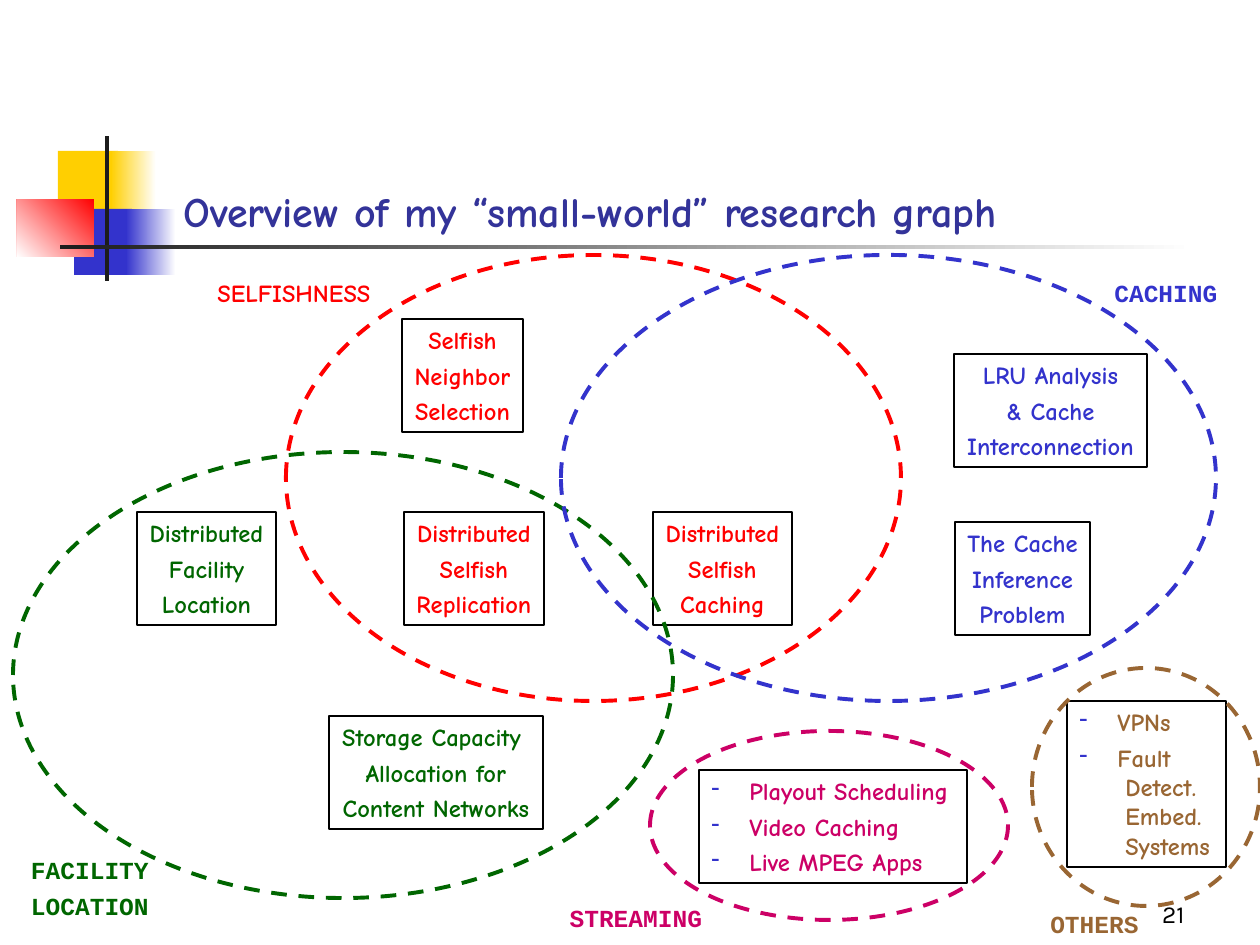
import dataclasses
import pptx
import pptx.dml.color
import pptx.enum.dml
import pptx.enum.shapes
import pptx.enum.text
import pptx.oxml
import pptx.oxml.ns
import pptx.util

PX = 914400 / 126
KIND = pptx.enum.shapes.MSO_SHAPE
SIDE = pptx.enum.text.PP_ALIGN
EDGE = pptx.enum.text.MSO_ANCHOR


@dataclasses.dataclass(frozen=True)
class Theme:
    """Colours, fonts and type sizes of the slide."""
    red: str = "FF0000"
    green: str = "006600"
    blue: str = "3333CC"
    pink: str = "CC0066"
    brown: str = "996633"
    navy: str = "333399"
    gold: str = "FFCF01"
    ink: str = "1C1C1C"
    black: str = "000000"
    white: str = "FFFFFF"
    hand: str = "Comic Neue"
    mono: str = "Courier New"
    plain: str = "Karla"
    head: int = 24
    body: int = 14
    gap: float = 3.5


LOOK = Theme()


def emu(px):
    """Turn pixels into EMU."""
    return pptx.util.Emu(round(px * PX))


def rgb(code):
    """Turn a hex code into a colour."""
    return pptx.dml.color.RGBColor.from_string(code)


def shape(page, kind, box):
    """Add a preset shape with no fill, line or shadow."""
    item = page.shapes.add_shape(kind, *map(emu, box))
    item.shadow.inherit = False
    item.fill.background()
    item.line.fill.background()
    return item


def edge(item, color, width):
    """Outline a shape."""
    item.line.color.rgb = rgb(color)
    item.line.width = pptx.util.Pt(width)


def frame(item, anchor=EDGE.TOP, wrap=False):
    """Set up the text frame of a shape."""
    text = item.text_frame
    text.word_wrap = wrap
    text.vertical_anchor = anchor
    return text


def write(text, lines, color, font=LOOK.hand, size=LOOK.body,
          align=SIDE.CENTER, bold=True):
    """Write one paragraph per line and return the paragraphs."""
    paras = []
    for rank, line in enumerate(lines):
        para = text.add_paragraph() if rank else text.paragraphs[0]
        para.alignment = align
        if rank:
            para.space_before = pptx.util.Pt(LOOK.gap)
        run = para.add_run()
        run.text = line
        run.font.name = font
        run.font.size = pptx.util.Pt(size)
        run.font.bold = bold
        run.font.color.rgb = rgb(color)
        paras.append(para)
    return paras


def label(page, box, lines, color, anchor=EDGE.TOP, wrap=False, **style):
    """Add a plain text box."""
    item = page.shapes.add_textbox(*map(emu, box))
    write(frame(item, anchor, wrap), lines, color, **style)


def banner(page, box):
    """Draw the coloured blocks and the fading rule."""
    left, top, width, height = box
    blocks = [
        ((41, 15, 60, 66), LOOK.gold, None, 0),
        ((94, 15, 45, 66), LOOK.white, LOOK.gold, 180),
        ((57, 73, 58, 66), LOOK.blue, None, 0),
        ((109, 73, 50, 66), LOOK.white, LOOK.blue, 180),
        ((0, 63, 77, 58), LOOK.red, LOOK.white, 225),
        ((88, 0, 4, height), LOOK.ink, None, 0),
        ((43, 109, width - 43, 4), LOOK.white, LOOK.ink, 180),
    ]
    for (x, y, wide, high), start, end, angle in blocks:
        item = shape(page, KIND.RECTANGLE, (left + x, top + y, wide, high))
        if end is None:
            item.fill.solid()
            item.fill.fore_color.rgb = rgb(start)
            continue
        item.fill.gradient()
        item.fill.gradient_angle = angle
        for stop, color in zip(item.fill.gradient_stops, (start, end)):
            stop.color.rgb = rgb(color)


def paper(page, box, lines, color):
    """Draw a framed box of centred lines."""
    item = shape(page, KIND.RECTANGLE, box)
    edge(item, LOOK.black, 0.75)
    write(frame(item), lines, color)


def dashes(page, box, lines, color, tails=()):
    """Draw a framed dash list whose last entry runs on in the tail lines."""
    item = shape(page, KIND.RECTANGLE, box)
    edge(item, LOOK.black, 0.75)
    text = frame(item, wrap=True)
    paras = write(text, [*lines, *tails], color, align=SIDE.LEFT)
    for rank, para in enumerate(paras):
        props = para._p.get_or_add_pPr()
        if rank >= len(lines):
            props.set("marL", str(emu(46)))
            para.space_before = pptx.util.Pt(0)
            continue
        props.set("marL", str(emu(38)))
        props.set("indent", str(emu(-38)))
        space = pptx.oxml.ns.nsdecls("a")
        for part in (f'<a:buClr {space}><a:srgbClr val="{LOOK.blue}"/></a:buClr>',
                     f'<a:buChar {space} char="-"/>'):
            props.append(pptx.oxml.parse_xml(part))


def topic(page, box, tag, lines, color, font=LOOK.mono):
    """Group a dashed ellipse with its label, placed from the ellipse corner."""
    group = page.shapes.add_group_shape()
    item = shape(group, KIND.OVAL, box)
    edge(item, color, 2.25)
    item.line.dash_style = pptx.enum.dml.MSO_LINE.DASH
    x, y, wide, high = tag
    label(group, (box[0] + x, box[1] + y, wide, high), lines, color, font=font)


def graph(page, box):
    """Place the papers and topics of the research graph."""
    left, top, width, height = box

    def at(x, y, wide, high=113):
        """Shift a box into the graph."""
        return left + x, top + y, wide, high

    row = 257
    for spot, lines, color in [
        (at(329, 461, 214), ["Storage Capacity ", "Allocation for", "Content Networks"], LOOK.green),
        (at(404, row, 140), ["Distributed", "Selfish", "Replication"], LOOK.red),
        (at(653, row, 139), ["Distributed", "Selfish", "Caching"], LOOK.red),
        (at(137, row, 139), ["Distributed", "Facility", "Location"], LOOK.green),
        (at(402, 64, 121), ["Selfish", "Neighbor", "Selection"], LOOK.red),
        (at(954, 99, 193), ["LRU Analysis", "& Cache", "Interconnection"], LOOK.blue),
        (at(955, 267, 135), ["The Cache", "Inference", "Problem"], LOOK.blue),
    ]:
        paper(page, spot, lines, color)

    dashes(page, at(699, 515, 268), ["Playout Scheduling", "Video Caching", "Live MPEG Apps"], LOOK.pink)
    dashes(page, at(1067, 446, 159, 166), ["VPNs", "Fault"], LOOK.brown,
           ["Detect.", "Embed.", "Systems"])

    topic(page, at(286, 0, 615, 446), (-81, 17, 178, 43), ["SELFISHNESS"], LOOK.red, LOOK.hand)
    topic(page, at(13, 197, 660, 446), (0, 397, 154, 78), ["FACILITY", "LOCATION"], LOOK.green)
    topic(page, at(561, 0, 655, 446), (535, 17, 140, 43), ["CACHING"], LOOK.blue)
    topic(page, at(650, 476, 358, 189), (-99, 166, 170, 43), ["STREAMING"], LOOK.pink)
    topic(page, at(1032, 413, 228, 238), (2, 235, 121, 43), ["OTHERS"], LOOK.brown)


def main():
    """Build and save the slide."""
    deck = pptx.Presentation()
    deck.slide_width, deck.slide_height = emu(1260), emu(945)
    page = deck.slides.add_slide(deck.slide_layouts[6])
    banner(page, (17, 136, 1177, 145))
    label(page, (171, 84, 1074, 158), ["Overview of my “small-world” research graph"],
          LOOK.navy, EDGE.BOTTOM, True, size=LOOK.head, align=SIDE.LEFT)
    graph(page, (0, 255, 1260, 690))
    label(page, (935, 872, 262, 63), ["21"], LOOK.black, EDGE.BOTTOM, True,
          font=LOOK.plain, align=SIDE.RIGHT, bold=False)
    deck.save("out.pptx")


if __name__ == "__main__":
    main()
